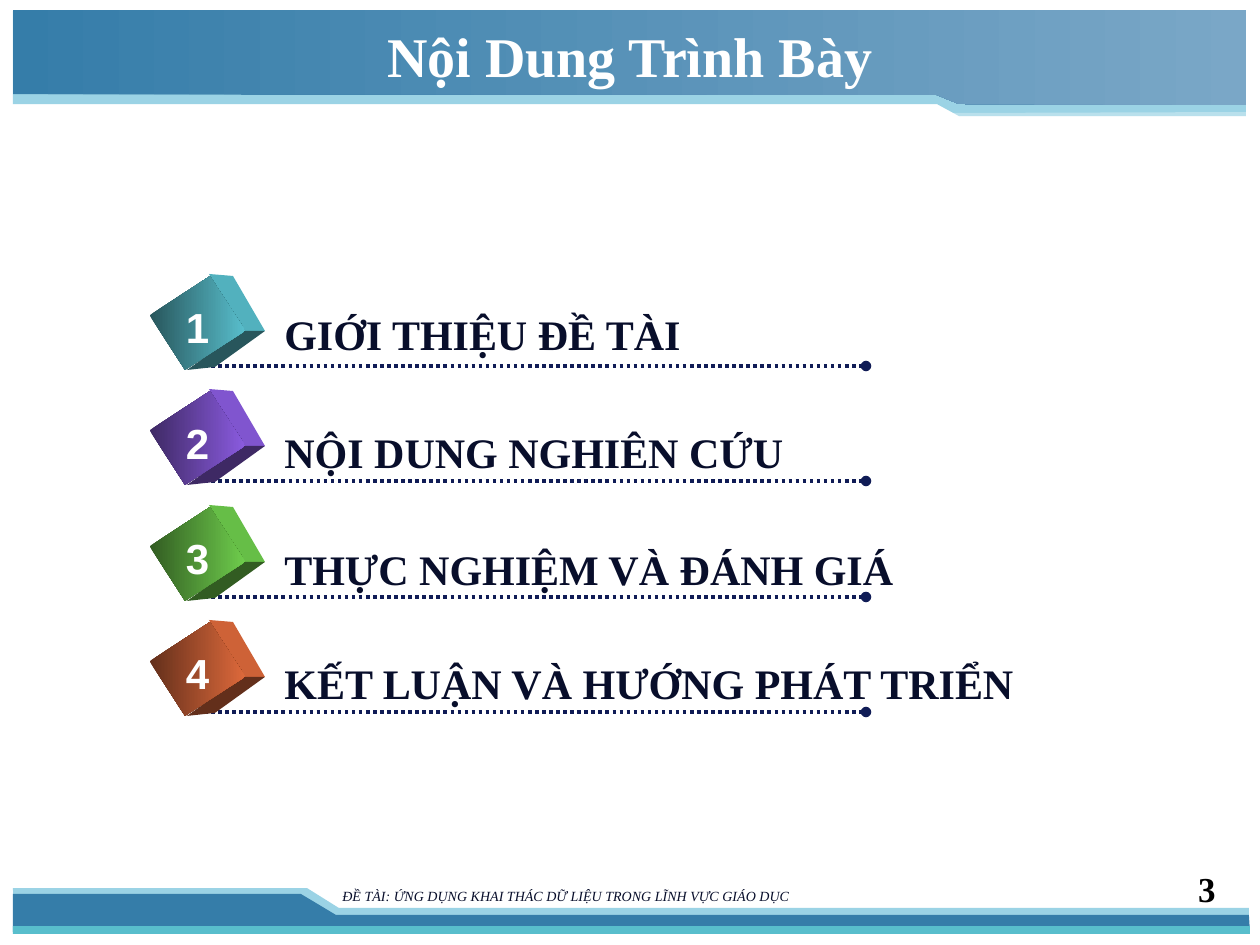
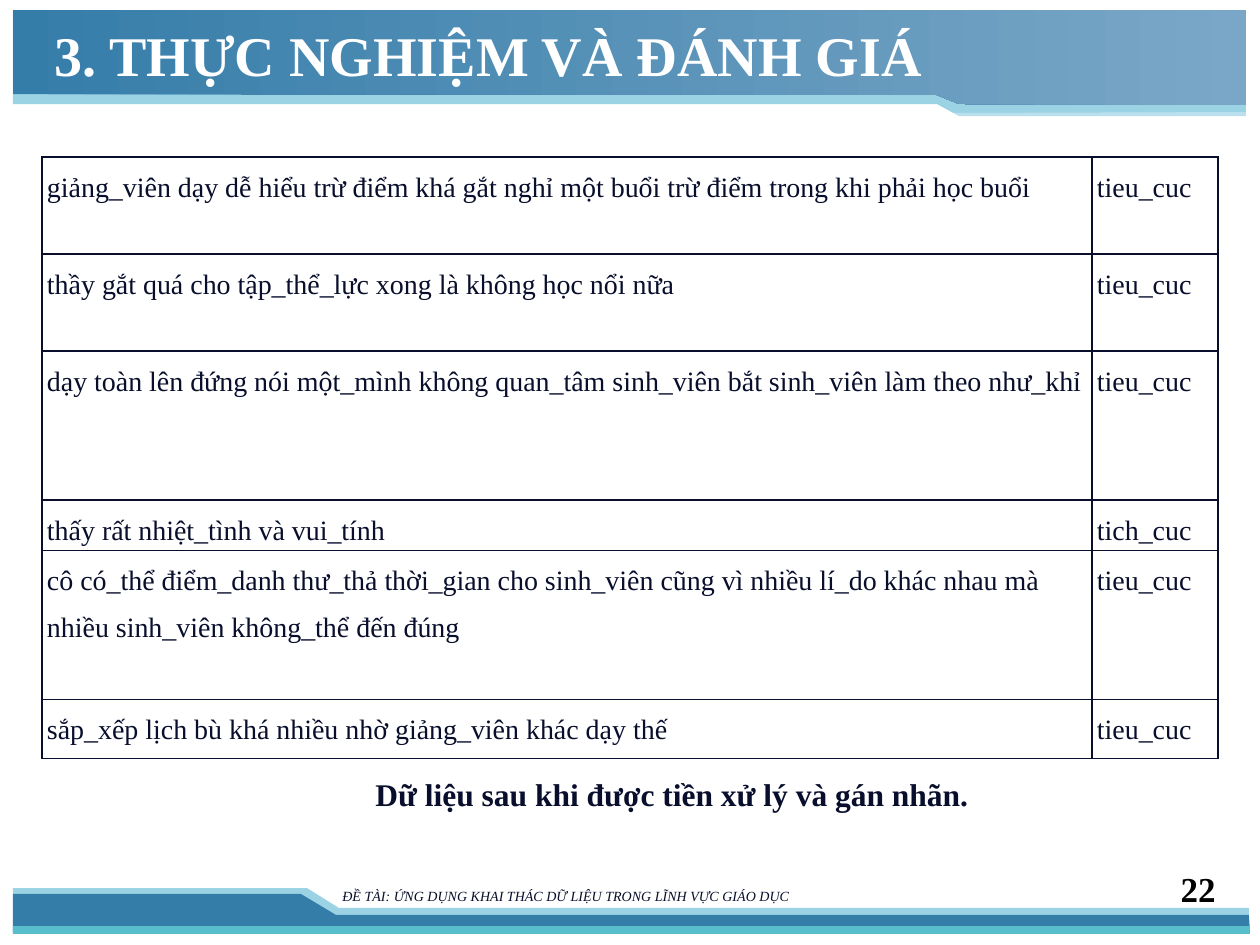
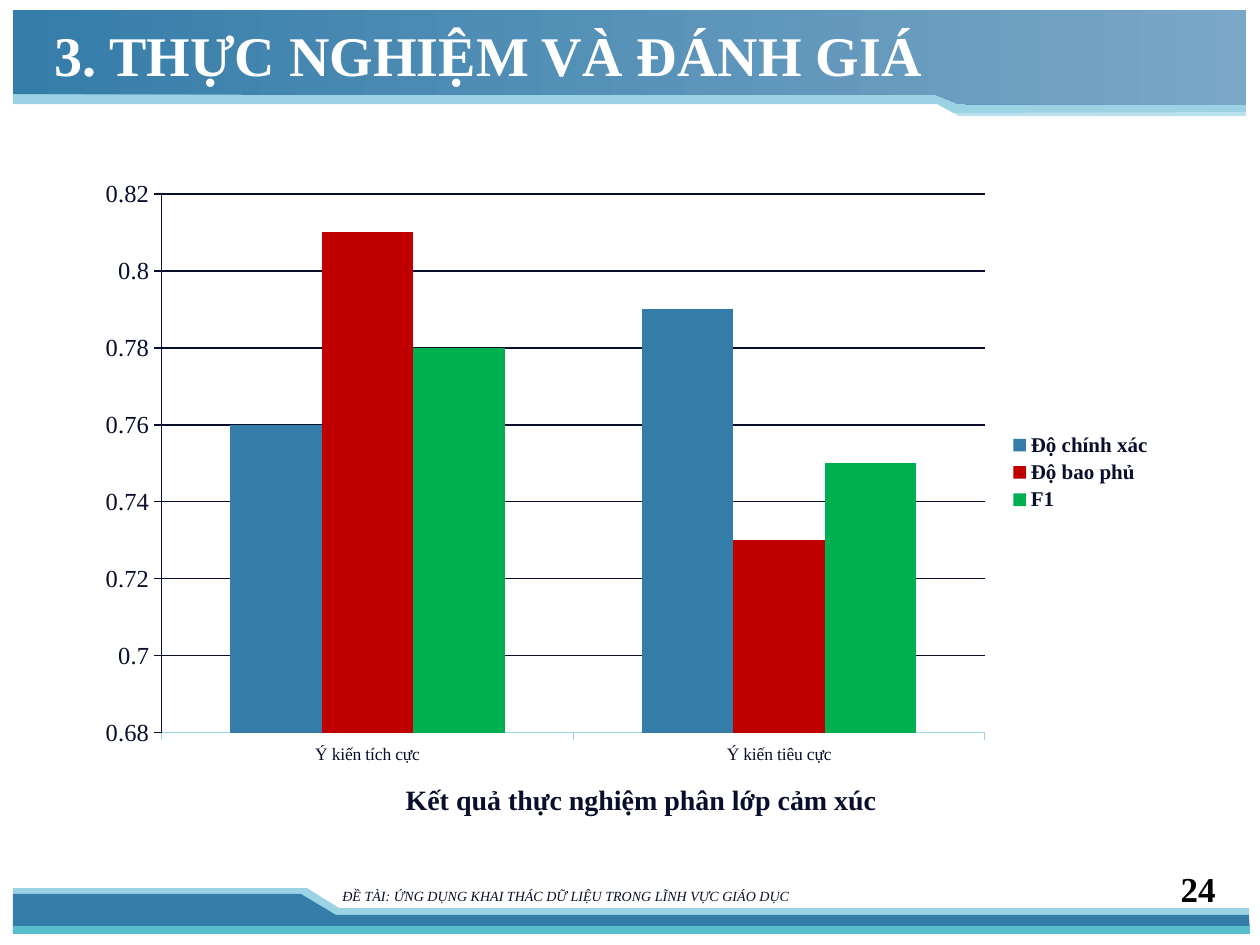
from pptx import Presentation
from pptx.chart.data import CategoryChartData as ChartData
from pptx.dml.color import RGBColor
from pptx.enum.chart import XL_CHART_TYPE as Kind, XL_LEGEND_POSITION as Spot
from pptx.enum.chart import XL_TICK_MARK as Tick
from pptx.enum.dml import MSO_LINE as Dash
from pptx.enum.shapes import MSO_CONNECTOR as Conn, MSO_SHAPE as Form
from pptx.enum.text import MSO_ANCHOR as Anchor, PP_ALIGN as Align
from pptx.oxml import parse_xml
from pptx.oxml.ns import nsdecls, qn
from pptx.util import Emu, Pt

SCALE = 914400 / 126
SERIF, SANS = "Times New Roman", "Arial"
COLORS = {
    "ink": "080E2B", "black": "000000", "white": "FFFFFF", "navy": "101C56",
    "blue": "357DA9", "haze": "7AA7C7", "pale": "9BD3E5", "teal": "58BECC",
    "purple": "8A5BDF", "green": "6ECC4C", "orange": "DD693B",
    "red": "C00000", "leaf": "00B050",
}


def px(n):
    return Emu(round(n * SCALE))


def rgb(name, shade=1):
    full = RGBColor.from_string(COLORS[name])
    return RGBColor(*(round(part * shade) for part in full))


# Basic parts
def paint(shape, color):
    shape.shadow.inherit = False
    shape.line.fill.background()
    shape.fill.solid()
    shape.fill.fore_color.rgb = color


def blend(shape, start, end, angle=0):
    shape.fill.gradient()
    shape.fill.gradient_angle = angle
    for stop, color in zip(shape.fill.gradient_stops, (start, end)):
        stop.color.rgb = color


def outline(slide, left, top, points, color):
    spots = [(left + x, top + y) for x, y in points]
    build = slide.shapes.build_freeform(*spots[0], scale=SCALE)
    build.add_line_segments(spots[1:], close=True)
    shape = build.convert_to_shape()
    paint(shape, color)
    return shape


def style(font, size, color="ink", bold=False, name=SERIF):
    font.size, font.bold, font.name = Pt(size), bold, name
    font.color.rgb = rgb(color)


def write(slide, box, text, size, color="ink", bold=True, name=SERIF,
          align=Align.LEFT, anchor=Anchor.TOP, wrap=True, head=6, foot=6):
    frame = slide.shapes.add_textbox(*map(px, box)).text_frame
    frame.text = text
    frame.word_wrap, frame.vertical_anchor = wrap, anchor
    frame.margin_top, frame.margin_bottom = px(head), px(foot)
    line = frame.paragraphs[0]
    line.alignment = align
    style(line.runs[0].font, size, color, bold, name)
    return line.runs[0].font


# Shared frame
def header(slide, box):
    left, top = box
    outline(slide, left, top, [(1233, 1), (0, 1), (0, 94), (924, 94),
                               (946, 106), (1233, 106)], rgb("pale"))
    band = outline(slide, left, top, [(1233, 0), (0, 0), (0, 84), (924, 85),
                                      (946, 94), (1233, 95)], rgb("blue"))
    blend(band, rgb("blue"), rgb("haze"))
    glint = outline(slide, left, top, [(937, 103), (1234, 102), (1234, 108),
                                       (951, 108)], rgb("white"))
    tone = glint.fill._xPr.find(".//" + qn("a:srgbClr"))
    tone.append(parse_xml(f'<a:alpha {nsdecls("a")} val="30000"/>'))


def footer(slide, box, number):
    left, top = box
    outline(slide, left, top, [(1, 43), (1236, 43), (1236, 20), (326, 20),
                               (294, 0), (0, 0)], rgb("pale"))
    outline(slide, left, top, [(0, 44), (1237, 43), (1236, 27), (323, 27),
                               (288, 6), (0, 6)], rgb("blue"))
    strip = slide.shapes.add_shape(
        Form.RECTANGLE, px(left), px(top + 38), px(1237), px(8))
    paint(strip, rgb("teal"))
    topic = "ĐỀ TÀI: ỨNG DỤNG KHAI THÁC DỮ LIỆU TRONG LĨNH VỰC GIÁO DỤC"
    font = write(slide, (left + 317, top - 6, 772, 30), topic, 8, bold=False)
    font.italic = True
    write(slide, (left + 1142, top - 27, 73, 50), str(number), 20, "black",
          align=Align.RIGHT, anchor=Anchor.BOTTOM, foot=1)


def start(deck, number, title, box, align=Align.LEFT, foot=6):
    slide = deck.slides.add_slide(deck.slide_layouts[6])
    header(slide, (13, 10))
    footer(slide, (13, 888), number)
    write(slide, box, title, 32, "white", align=align,
          anchor=Anchor.MIDDLE, foot=foot)
    return slide


def caption(slide, box, text, size):
    write(slide, box, text, size, align=Align.CENTER)


# Agenda
def cube(slide, left, top, color, number):
    dark = rgb(color, 0.45)
    outline(slide, left, top, [(54, 0), (78, 2), (110, 57), (87, 57)],
            rgb(color, 0.93))
    outline(slide, left, top, [(32, 96), (87, 57), (110, 57), (60, 93)], dark)
    face = slide.shapes.add_shape(
        Form.RECTANGLE, px(left + 10), px(top + 13), px(65), px(72))
    paint(face, dark)
    face.rotation = 57
    blend(face, dark, rgb(color), 57)
    write(slide, (left + 18, top + 18, 49, 63), str(number), 24, "white",
          name=SANS, align=Align.CENTER, wrap=False, head=10)


def rule(slide, left, top, width):
    line = slide.shapes.add_connector(
        Conn.STRAIGHT, px(left), px(top), px(left + width), px(top))
    line.line.color.rgb = rgb("navy")
    line.line.width = Pt(2)
    line.line.dash_style = Dash.ROUND_DOT
    line.line._get_or_add_ln().append(
        parse_xml(f'<a:tailEnd {nsdecls("a")} type="oval"/>'))
    line._element.spPr.append(parse_xml(f'<a:effectLst {nsdecls("a")}/>'))


def agenda(slide, box, items):
    left, top, pitch = box
    for i, (text, color, width, drop) in enumerate(items):
        row = top + int(i * pitch)
        rule(slide, left + 49, row + 92, 662)
        cube(slide, left, row, color, i + 1)
        write(slide, (left + 117, row + drop, width, 63), text, 24,
              wrap=False, head=10)


# Labelled comments
def border(cell):
    props = cell._tc.get_or_add_tcPr()
    for i, side in enumerate(("lnL", "lnR", "lnT", "lnB")):
        props.insert(i, parse_xml(
            f'<a:{side} {nsdecls("a")} w="12700"><a:solidFill>'
            f'<a:srgbClr val="{COLORS["ink"]}"/></a:solidFill></a:{side}>'))


def grid(slide, box, widths, rows):
    left, top = box
    high = sum(row[0] for row in rows)
    table = slide.shapes.add_table(
        len(rows), len(widths), px(left), px(top),
        px(sum(widths)), px(high)).table
    table.first_row = table.horz_banding = False
    for col, width in zip(table.columns, widths):
        col.width = px(width)
    for r, (tall, *texts) in enumerate(rows):
        table.rows[r].height = px(tall)
        for c, text in enumerate(texts):
            cell = table.cell(r, c)
            cell.fill.background()
            cell.margin_left = cell.margin_right = px(5)
            cell.margin_top = cell.margin_bottom = 0
            border(cell)
            cell.text_frame.text = text
            line = cell.text_frame.paragraphs[0]
            line.line_spacing, line.space_before = 1.5, Pt(6)
            style(line.runs[0].font, 16)
    table.cell(0, 0).text_frame.paragraphs[0].alignment = Align.JUSTIFY


# Result chart
def columns(slide, box, names, series):
    data = ChartData()
    data.categories = names
    for name, values, _ in series:
        data.add_series(name, values)
    chart = slide.shapes.add_chart(
        Kind.COLUMN_CLUSTERED, *map(px, box), data).chart
    chart.has_title = False
    style(chart.font, 10)
    plot = chart.plots[0]
    plot.gap_width, plot.overlap, plot.vary_by_categories = 150, 0, False
    for item, (_, _, color) in zip(plot.series, series):
        item.format.fill.solid()
        item.format.fill.fore_color.rgb = rgb(color)
        item.invert_if_negative = False

    # Axes and legend
    cats, vals = chart.category_axis, chart.value_axis
    style(cats.tick_labels.font, 10)
    style(vals.tick_labels.font, 14)
    vals.minimum_scale, vals.maximum_scale = 0.68, 0.82
    vals.major_unit = 0.02
    vals.tick_labels.number_format = "General"
    vals.tick_labels.number_format_is_linked = False
    cats.major_tick_mark = vals.major_tick_mark = Tick.OUTSIDE
    vals.has_major_gridlines = True
    for form, color in ((cats.format, "pale"), (vals.format, "ink"),
                        (vals.major_gridlines.format, "ink")):
        form.line.color.rgb = rgb(color)
        form.line.width = Pt(0.75)
    chart.has_legend = True
    chart.legend.position = Spot.RIGHT
    chart.legend.include_in_layout = False
    style(chart.legend.font, 12, bold=True)


deck = Presentation()
deck.slide_width, deck.slide_height = px(1260), px(945)
PART, PLACE = "3. THỰC NGHIỆM VÀ ĐÁNH GIÁ", (42, 10, 1050, 88)

# Contents
slide = start(deck, 3, "Nội Dung Trình Bày", (63, 9, 1134, 107),
              Align.CENTER, foot=21)
agenda(slide, (155, 274, 115.5), [
    ("GIỚI THIỆU ĐỀ TÀI", "teal", 426, 25),
    ("NỘI DUNG NGHIÊN CỨU", "purple", 529, 28),
    ("THỰC NGHIỆM VÀ ĐÁNH GIÁ", "green", 641, 28),
    ("KẾT LUẬN VÀ HƯỚNG PHÁT TRIỂN", "orange", 762, 28),
])

# Data
slide = start(deck, 22, PART, PLACE)
grid(slide, (42, 157), (1050, 126), [
    (97, "giảng_viên dạy dễ hiểu trừ điểm khá gắt nghỉ một buổi trừ điểm "
         "trong khi phải học buổi", "tieu_cuc"),
    (97, "thầy gắt quá cho tập_thể_lực xong là không học nổi nữa",
     "tieu_cuc"),
    (149, "dạy toàn lên đứng nói một_mình không quan_tâm sinh_viên bắt "
          "sinh_viên làm theo như_khỉ", "tieu_cuc"),
    (47, "thấy rất nhiệt_tình và vui_tính", "tich_cuc"),
    (149, "cô có_thể điểm_danh thư_thả thời_gian cho sinh_viên cũng vì "
          "nhiều lí_do khác nhau mà nhiều sinh_viên không_thể đến đúng",
     "tieu_cuc"),
    (59, "sắp_xếp lịch bù khá nhiều nhờ giảng_viên khác dạy thế",
     "tieu_cuc"),
])
caption(slide, (273, 769, 798, 50),
        "Dữ liệu sau khi được tiền xử lý và gán nhãn.", 18)

# Results
slide = start(deck, 24, PART, PLACE)
columns(slide, (84, 168, 1081, 609), ["Ý kiến tích cực", "Ý kiến tiêu cực"], [
    ("Độ chính xác", (0.76, 0.79), "blue"),
    ("Độ bao phủ", (0.81, 0.73), "red"),
    ("F1", (0.78, 0.75), "leaf"),
])
caption(slide, (242, 777, 798, 47),
        "Kết quả thực nghiệm phân lớp cảm xúc", 16)

deck.save("out.pptx")
